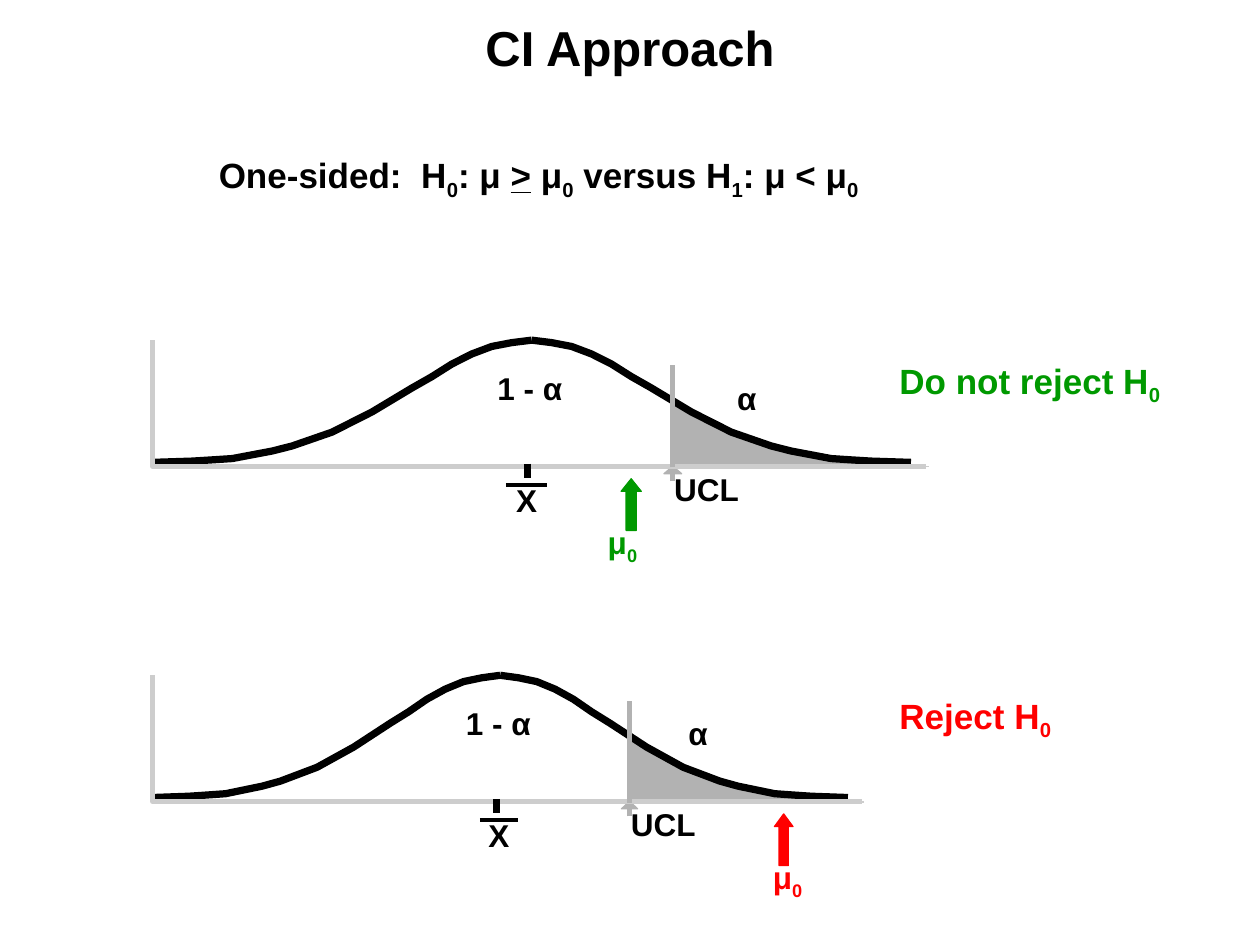
import pptx
import pptx.util
import pptx.dml.color
import pptx.enum.shapes
import pptx.enum.text
import pptx.oxml.ns
from lxml import etree

PIXEL = 9144
BLACK = pptx.dml.color.RGBColor(0x00, 0x00, 0x00)
GREY = pptx.dml.color.RGBColor(0xB2, 0xB2, 0xB2)
LIGHT_GREY = pptx.dml.color.RGBColor(0xCD, 0xCD, 0xCD)
GREEN = pptx.dml.color.RGBColor(0x00, 0x99, 0x00)
RED = pptx.dml.color.RGBColor(0xFF, 0x00, 0x00)
LEFT = pptx.enum.text.PP_ALIGN.LEFT
CENTER = pptx.enum.text.PP_ALIGN.CENTER
PLAIN, SUBSCRIPT, UNDERLINE = range(3)

TITLE = "CI Approach"
HYPOTHESES = [
    ("One-sided:  H", PLAIN), ("0", SUBSCRIPT), (": μ ", PLAIN),
    (">", UNDERLINE), (" μ", PLAIN), ("0", SUBSCRIPT),
    (" versus H", PLAIN), ("1", SUBSCRIPT), (": μ < μ", PLAIN),
    ("0", SUBSCRIPT),
]
PANELS = [
    dict(top=270, half_width=301, mean_label=418, arrow=501, mu=494,
         color=GREEN, decision="Do not reject H", decision_width=247),
    dict(top=536, half_width=276, mean_label=396, arrow=622, mu=625,
         color=RED, decision="Reject H", decision_width=215),
]

AXIS_LEFT = 121
HALF_WIDTH = 301
HALF_STEPS = 19
CURVE = [
    (0, 97), (2, 96), (3, 95), (4, 94), (5, 91), (6, 88), (7, 84), (9, 73),
    (11, 57), (13, 38), (14, 29), (15, 19), (16, 11), (17, 5), (18, 2), (19, 0),
]
TAIL = [
    (413, 50), (413, 99), (587, 99), (568, 97), (549, 94), (531, 91),
    (513, 88), (497, 84), (481, 80), (467, 75), (454, 71), (442, 66),
    (431, 61), (421, 55),
]
AXIS_LENGTH = 614
TICKS = [1, 2, 4, 5, 6, 7, 8, 9, 10]
LIMIT = 413
MEAN_TICK = 298


def emu(length):
    return round(length * PIXEL)


def add_text(slide, box, runs, size, color=BLACK, align=CENTER, inset=0,
             space_before=0):
    shape = slide.shapes.add_textbox(*map(emu, box))
    frame = shape.text_frame
    frame.word_wrap = True
    frame.auto_size = pptx.enum.text.MSO_AUTO_SIZE.SHAPE_TO_FIT_TEXT
    frame.margin_left = frame.margin_right = emu(inset)
    frame.margin_top = frame.margin_bottom = emu(inset / 2)
    paragraph = frame.paragraphs[0]
    paragraph.alignment = align
    paragraph.space_before = pptx.util.Pt(space_before)
    format_font(paragraph.font, size, color)
    for text, style in runs:
        run = paragraph.add_run()
        run.text = text
        if style == SUBSCRIPT:
            run._r.get_or_add_rPr().set("baseline", "-25000")
        elif style == UNDERLINE:
            run.font.underline = True


def format_font(font, size, color):
    font.name = "Arial"
    font.size = pptx.util.Pt(size)
    font.bold = True
    font.color.rgb = color


def add_line(slide, start, end, color, width):
    line = slide.shapes.add_connector(
        pptx.enum.shapes.MSO_CONNECTOR.STRAIGHT, *map(emu, start + end))
    line.line.color.rgb = color
    line.line.width = pptx.util.Pt(width)
    etree.SubElement(line._element.spPr, pptx.oxml.ns.qn("a:effectLst"))


def format_shape(shape, fill=None, line=None, width=0.75):
    shape.shadow.inherit = False
    if fill is None:
        shape.fill.background()
    else:
        shape.fill.solid()
        shape.fill.fore_color.rgb = fill
    if line is None:
        shape.line.fill.background()
    else:
        shape.line.color.rgb = line
        shape.line.width = pptx.util.Pt(width)


def add_outline(slide, points, close=False, **style):
    corners = [(emu(x), emu(y)) for x, y in points]
    builder = slide.shapes.build_freeform(*corners[0], scale=1.0)
    builder.add_line_segments(corners[1:], close=close)
    format_shape(builder.convert_to_shape(), **style)


def add_panel(slide, panel):
    top = panel["top"]
    color = panel["color"]
    ratio = panel["half_width"] / HALF_WIDTH
    base = top + 100

    def across(offset):
        return AXIS_LEFT + offset * ratio

    limit = across(LIMIT)
    mean = across(HALF_WIDTH)
    label = panel["mean_label"]

    add_outline(slide, [(across(x), top + y) for x, y in TAIL],
                close=True, fill=GREY)
    add_text(slide, (limit + 1, top + 103, 56, 30), [("UCL", PLAIN)], 18,
             align=LEFT)
    add_text(slide, (across(464), top + 31, 20, 30), [("α", PLAIN)], 18,
             align=LEFT)
    add_line(slide, (limit, top + 112), (limit, top + 106), GREY, 2.86)
    head = 7 * ratio
    add_outline(slide, [(limit - head, top + 106), (limit, base),
                        (limit + head, top + 106)],
                close=True, fill=GREY, line=GREY)
    for side in (1, -1):
        points = [(mean + side * (HALF_STEPS - step) * panel["half_width"] / HALF_STEPS,
                   top + drop) for step, drop in CURVE]
        add_outline(slide, points, line=BLACK, width=4.14)
    add_outline(slide, [(AXIS_LEFT, top), (AXIS_LEFT, base),
                        (across(AXIS_LENGTH), base)], line=LIGHT_GREY, width=2.86)
    for tick in TICKS:
        x = across(tick * AXIS_LENGTH / 10)
        add_line(slide, (x, base), (x, base + 1), LIGHT_GREY, 2.86)
    add_line(slide, (limit, base + 1), (limit, top + 20), GREY, 2.86)

    add_text(slide, (mean - 78, top + 18, 153, 40), [("1 - α", PLAIN)], 18,
             inset=10, space_before=11.2)
    add_text(slide, (panel["mu"] - 119, top + 145, 238, 34),
             [("μ", PLAIN), ("0", SUBSCRIPT)], 18, color)
    tick = across(MEAN_TICK)
    add_line(slide, (tick, top + 98), (tick, top + 109), BLACK, 4)
    add_text(slide, (label - 44, top + 112, 88, 30), [("X", PLAIN)], 18)
    bar = 16.5 * ratio
    add_line(slide, (label - bar, top + 115), (label + bar, top + 115), BLACK, 2)

    width = 16 * ratio
    arrow = slide.shapes.add_shape(
        pptx.enum.shapes.MSO_SHAPE.UP_ARROW,
        *map(emu, (panel["arrow"] - width / 2, top + 110, width, 41)))
    arrow.adjustments[0] = 0.5
    arrow.adjustments[1] = 10 / width
    format_shape(arrow, fill=color, line=color)

    add_text(slide, (704, top + 10, panel["decision_width"], 48),
             [(panel["decision"], PLAIN), ("0", SUBSCRIPT)], 20, color,
             align=LEFT, inset=10, space_before=12.5)


def main():
    presentation = pptx.Presentation()
    presentation.slide_width = emu(1000)
    presentation.slide_height = emu(750)
    slide = presentation.slides.add_slide(presentation.slide_layouts[5])

    title = slide.shapes.title
    title.left, title.top, title.width, title.height = map(emu, (0, 0, 1000, 75))
    frame = title.text_frame
    frame.text = TITLE
    frame.auto_size = pptx.enum.text.MSO_AUTO_SIZE.NONE
    frame.vertical_anchor = pptx.enum.text.MSO_ANCHOR.MIDDLE
    frame.paragraphs[0].alignment = CENTER
    format_font(frame.paragraphs[0].font, 28, BLACK)

    add_text(slide, (49, 117, 757, 48), HYPOTHESES, 20, inset=10, space_before=12.5)
    for panel in PANELS:
        add_panel(slide, panel)
    presentation.save("out.pptx")


if __name__ == "__main__":
    main()
